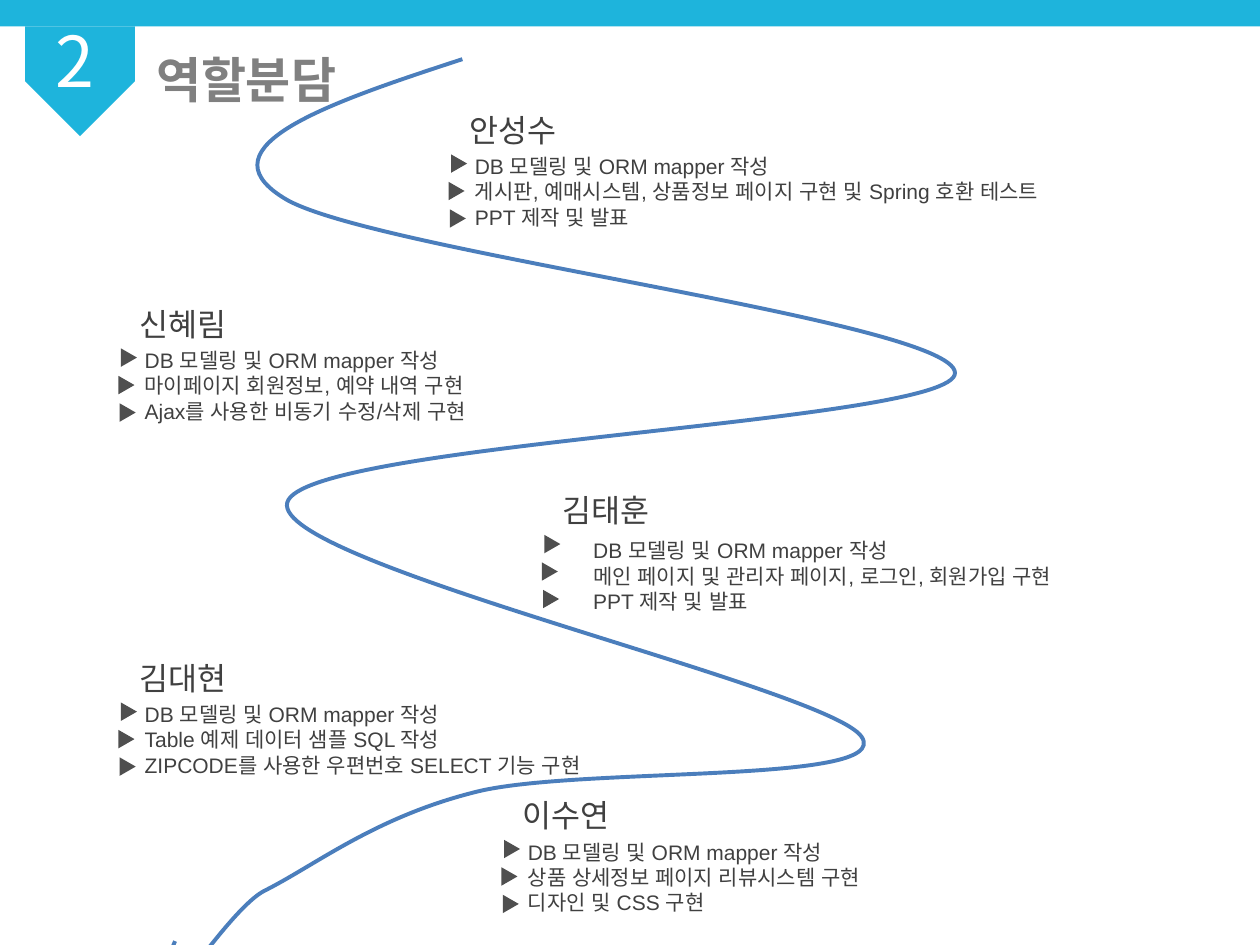
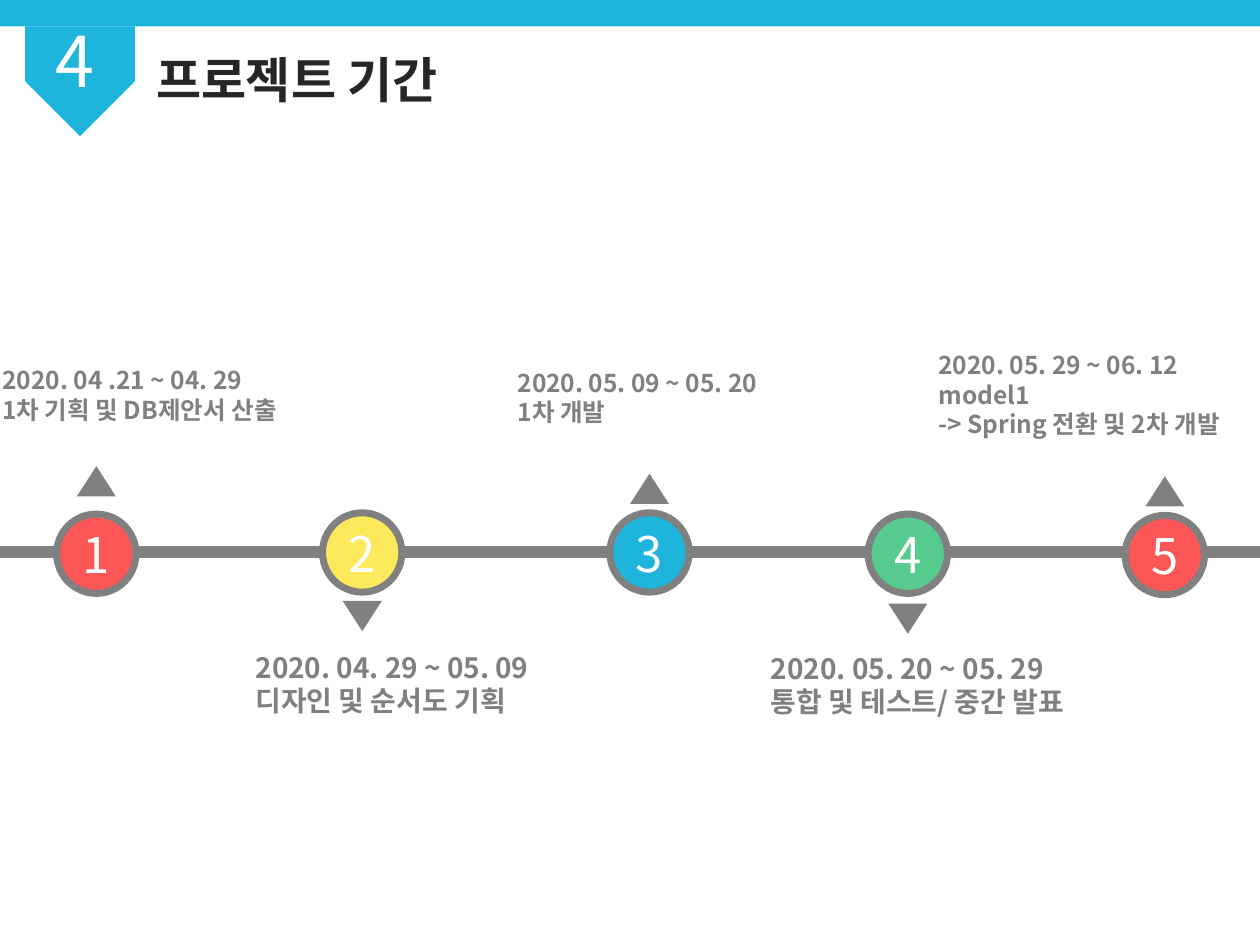
from dataclasses import dataclass
from typing import Any

from lxml import etree
from pptx import Presentation
from pptx import util as u
from pptx.dml.color import RGBColor
from pptx.enum import shapes, text
from pptx.oxml.ns import qn

COLORS = {
    "brand": "1EB4DC", "white": "FFFFFF", "gray": "808080", "ink": "262626",
    "body": "404040", "marker": "4F4F4F", "road": "4B7EBC",
    "red": "FC5656", "yellow": "FEE95C", "green": "57CB8E",
}
SANS, KOREAN = "Arial", "Noto Sans CJK KR"
SLIDE_WIDTH, SLIDE_HEIGHT = u.Inches(10), u.Inches(7.5)
COLUMN, ROW = SLIDE_WIDTH / 100, SLIDE_HEIGHT / 75
SHARED_TASK = "DB 모델링 및 ORM mapper 작성"


@dataclass(frozen=True)
class Style:
    size: int
    font: str
    color: str
    bold: bool = False
    outlined: bool = False


@dataclass(frozen=True)
class Member:
    name: str
    column: float
    row: float
    tasks: tuple[str, ...]
    task_shift: tuple[float, float] = (0.4, 3.4)


@dataclass(frozen=True)
class Milestone:
    column: float
    row: float
    color: str
    pointer_row: float
    caption: tuple[float, float, float, float]
    caption_size: int
    lines: tuple[str, ...]


NUMBER = Style(40, KOREAN, "white")
STEP = Style(28, KOREAN, "white")
NAME = Style(18, SANS, "body", outlined=True)
TASK = Style(12, SANS, "body", outlined=True)

MEMBERS = (
    Member("안성수", 36.3, 8.3, (
        SHARED_TASK,
        "게시판, 예매시스템, 상품정보 페이지 구현 및 Spring 호환 테스트",
        "PPT 제작 및 발표")),
    Member("신혜림", 10.1, 23.7, (
        SHARED_TASK,
        "마이페이지 회원정보, 예약 내역 구현",
        "Ajax를 사용한 비동기 수정/삭제 구현")),
    Member("김태훈", 43.7, 38.5, (
        SHARED_TASK,
        "메인 페이지 및 관리자 페이지, 로그인, 회원가입 구현",
        "PPT 제작 및 발표"), (2.4, 3.7)),
    Member("김대현", 10.1, 51.8, (
        SHARED_TASK,
        "Table 예제 데이터 샘플 SQL 작성",
        "ZIPCODE를 사용한 우편번호 SELECT 기능 구현")),
    Member("이수연", 40.5, 62.7, (
        SHARED_TASK,
        "상품 상세정보 페이지 리뷰시스템 구현",
        "디자인 및 CSS 구현")),
)

MARKER_SHIFTS = (0, -0.2, -0.1)
MARKER_GAP = 2.18
ROAD_START = (36.7, 4.7)
ROAD_BENDS = (
    ((26.3, 8.1), (15.9, 11.6), (22.5, 15.7)),
    ((29, 19.9), (75.7, 25.5), (75.8, 29.6)),
    ((75.8, 33.6), (24, 35.1), (22.8, 39.9)),
    ((21.6, 44.7), (65.9, 54.6), (68.4, 58.5)),
    ((70.9, 62.3), (45.5, 60.8), (37.6, 62.9)),
    ((29.7, 64.9), (25, 68.7), (21, 70.7)),
    ((17.1, 72.7), (7.8, 89.3), (13.9, 74.7)),
)

MILESTONES = (
    Milestone(4.5, 40.8, "red", 37, (-0.8, 28.5, 27.2, 9.1), 14,
              ("2020. 04 .21 ~ 04. 29", "1차 기획 및 DB제안서 산출")),
    Milestone(25.6, 40.7, "yellow", 47.7, (19.3, 51.1, 25.2, 9.1), 16,
              ("2020. 04. 29 ~ 05. 09", "디자인 및 순서도 기획")),
    Milestone(48.4, 40.7, "brand", 37.6, (40.1, 28.7, 23, 5.7), 14,
              ("2020. 05. 09 ~ 05. 20", "1차 개발")),
    Milestone(68.9, 40.8, "green", 47.9, (60.2, 51.2, 29.9, 6.4), 16,
              ("2020. 05. 20 ~ 05. 29", "통합 및 테스트/ 중간 발표")),
    Milestone(89.3, 40.9, "red", 37.8, (73.5, 27.3, 27.9, 8.1), 14,
              ("2020. 05. 29 ~ 06. 12", "model1", "-> Spring 전환 및 2차 개발")),
)
STEP_SIZE = 6.3
POINTER_WIDTH, POINTER_HEIGHT = 3.1, 2.4


def rgb(color: str) -> RGBColor:
    return RGBColor.from_string(COLORS[color])


def at(column: float, row: float) -> tuple[int, int]:
    return round(column * COLUMN), round(row * ROW)


def box(column: float, row: float, width: float, height: float) -> tuple[int, ...]:
    return *at(column, row), *at(width, height)


def apply_format(target: Any, values: dict[str, Any]) -> None:
    for attribute, value in values.items():
        setattr(target, attribute, value)


def write(frame: Any, lines: tuple[str, ...], style: Style,
          frame_format: dict[str, Any], align: Any = text.PP_ALIGN.LEFT) -> None:
    apply_format(frame, frame_format)
    for index, line in enumerate(lines):
        paragraph = frame.add_paragraph() if index else frame.paragraphs[0]
        paragraph.alignment = align
        run = paragraph.add_run()
        run.text = line
        apply_format(run.font, {"size": u.Pt(style.size), "name": style.font,
                                "bold": style.bold})
        run.font.color.rgb = rgb(style.color)
        properties = run.font._element
        properties.find(qn("a:latin")).addnext(
            etree.Element(qn("a:ea"), typeface=style.font))
        if style.outlined:
            outline = etree.Element(qn("a:ln"), w=str(u.Pt(0.75)))
            fill = etree.SubElement(outline, qn("a:solidFill"))
            tint = etree.SubElement(fill, qn("a:srgbClr"), val=COLORS[style.color])
            etree.SubElement(tint, qn("a:alpha"), val="30000")
            properties.insert(0, outline)


def add_text(slide: Any, area: tuple[int, ...], lines: tuple[str, ...],
             style: Style, wrap: bool = True) -> None:
    frame = slide.shapes.add_textbox(*area).text_frame
    write(frame, lines, style, {"word_wrap": wrap})


def paint(shape: Any, fill: str | None = None, line: str | None = None,
          weight: float = 0) -> None:
    shape.shadow.inherit = False
    if fill:
        shape.fill.solid()
        shape.fill.fore_color.rgb = rgb(fill)
    else:
        shape.fill.background()
    if line:
        shape.line.color.rgb = rgb(line)
        shape.line.width = u.Pt(weight)
    else:
        shape.line.fill.background()


def add_block(slide: Any, kind: Any, area: tuple[int, ...], fill: str,
              rotation: float = 0) -> Any:
    block = slide.shapes.add_shape(kind, *area)
    block.rotation = rotation
    paint(block, fill)
    return block


def add_section(deck: Any, number: str, title: str, title_color: str) -> Any:
    slide = deck.slides.add_slide(deck.slide_layouts[6])
    add_text(slide, box(11.4, 3.4, 70, 7.4), (title,),
             Style(28, KOREAN, title_color, bold=True))
    add_block(slide, shapes.MSO_SHAPE.RECTANGLE, box(0, 0, 100, 2.1), "brand")
    ribbon = add_block(slide, shapes.MSO_SHAPE.SNIP_2_SAME_RECTANGLE,
                       box(2, 2.1, 8.7, 8.7), "brand", 180)
    ribbon.adjustments[0], ribbon.adjustments[1] = 0.5, 0
    add_text(slide, box(3.4, 0.9, 6.8, 7.7), (number,), NUMBER)
    return slide


def add_outline(slide: Any, points: list[tuple[float, float]], closed: bool) -> Any:
    start, *rest = [at(*point) for point in points]
    builder = slide.shapes.build_freeform(*start)
    builder.add_line_segments(rest, close=closed)
    return builder.convert_to_shape()


def add_member(slide: Any, member: Member) -> None:
    add_text(slide, box(member.column, member.row, 9.6, 4), (member.name,), NAME, False)
    shift_x, shift_y = member.task_shift
    add_text(slide, box(member.column + shift_x, member.row + shift_y, 60.9, 7.1),
             member.tasks, TASK)
    for index, shift in enumerate(MARKER_SHIFTS):
        left = member.column - 0.5 + shift
        top = member.row + 3.95 + index * MARKER_GAP
        marker = add_outline(
            slide, [(left, top), (left + 1.27, top + 0.73), (left, top + 1.46)], True)
        paint(marker, "marker")


def add_road(slide: Any) -> None:
    points = [ROAD_START, *(point for bend in ROAD_BENDS for point in bend)]
    road = add_outline(slide, points, False)
    paint(road, line="road", weight=2.25)
    segments = road._element.findall(".//" + qn("a:lnTo"))
    for first in range(0, len(segments), 3):
        curve = etree.Element(qn("a:cubicBezTo"))
        segments[first].addprevious(curve)
        for segment in segments[first:first + 3]:
            curve.append(segment[0])
            segment.getparent().remove(segment)


def add_time_axis(slide: Any) -> None:
    axis = slide.shapes.add_connector(
        shapes.MSO_CONNECTOR.STRAIGHT, *at(-0.4, 43.8), *at(100, 43.8))
    axis.line.color.rgb = rgb("gray")
    axis.line.width = u.Pt(7)
    etree.SubElement(axis._element.spPr, qn("a:effectLst"))


def add_milestone(slide: Any, number: int, milestone: Milestone) -> None:
    step = slide.shapes.add_shape(
        shapes.MSO_SHAPE.OVAL,
        *box(milestone.column, milestone.row, STEP_SIZE, STEP_SIZE))
    paint(step, milestone.color, "gray", 4)
    write(step.text_frame, (str(number),), STEP,
          {"vertical_anchor": text.MSO_ANCHOR.MIDDLE}, text.PP_ALIGN.CENTER)
    pointer_column = milestone.column + (STEP_SIZE - POINTER_WIDTH) / 2
    add_block(slide, shapes.MSO_SHAPE.ISOSCELES_TRIANGLE,
              box(pointer_column, milestone.pointer_row, POINTER_WIDTH, POINTER_HEIGHT),
              "gray", 180 if milestone.pointer_row > milestone.row else 0)
    add_text(slide, box(*milestone.caption), milestone.lines,
             Style(milestone.caption_size, KOREAN, "gray", bold=True))


def main() -> None:
    deck = Presentation()
    apply_format(deck, {"slide_width": SLIDE_WIDTH, "slide_height": SLIDE_HEIGHT})

    roles = add_section(deck, "2", "역할분담", "gray")
    for member in MEMBERS:
        add_member(roles, member)
    add_road(roles)

    schedule = add_section(deck, "4", "프로젝트 기간", "ink")
    add_time_axis(schedule)
    for number, milestone in enumerate(MILESTONES, 1):
        add_milestone(schedule, number, milestone)

    deck.save("out.pptx")


if __name__ == "__main__":
    main()
